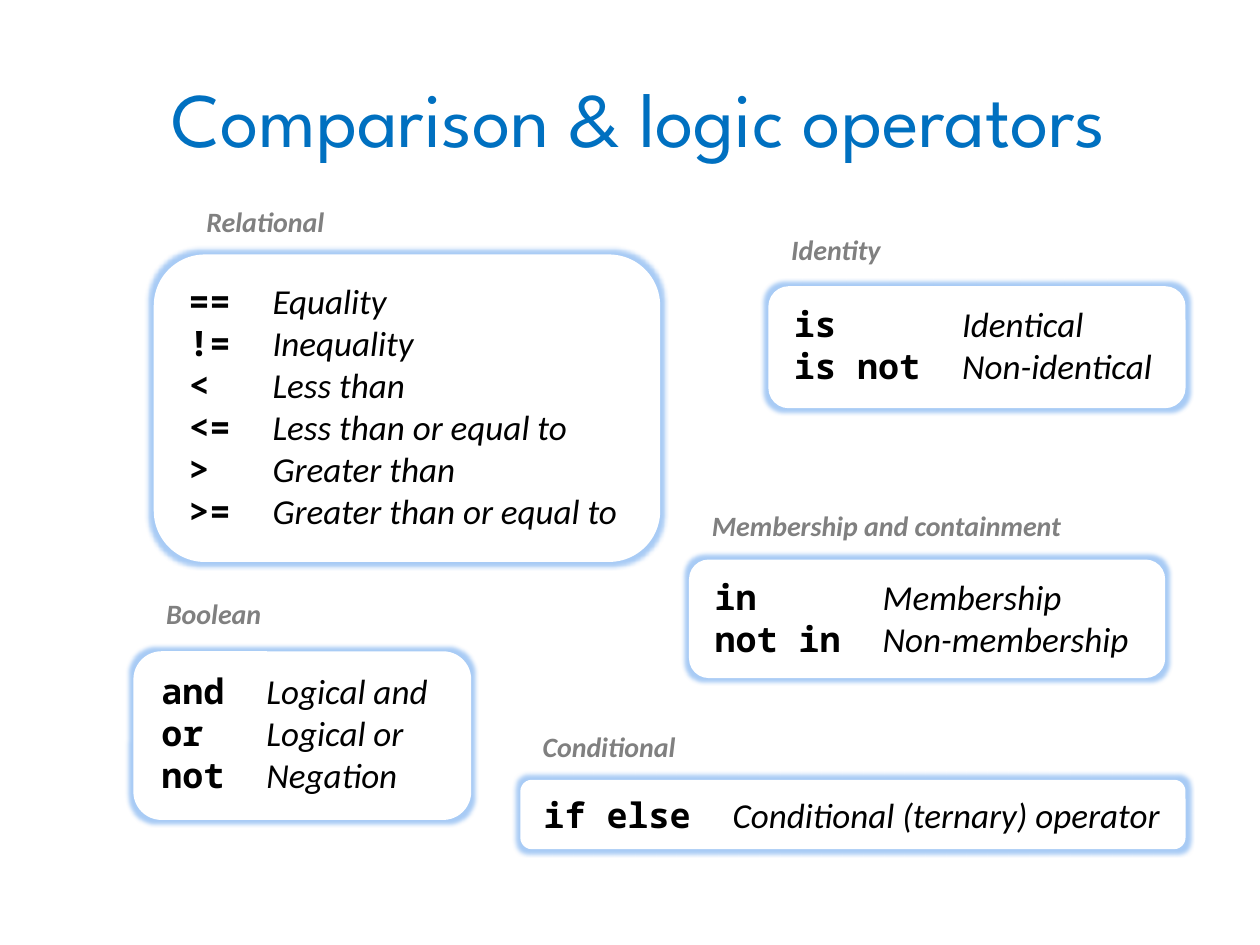
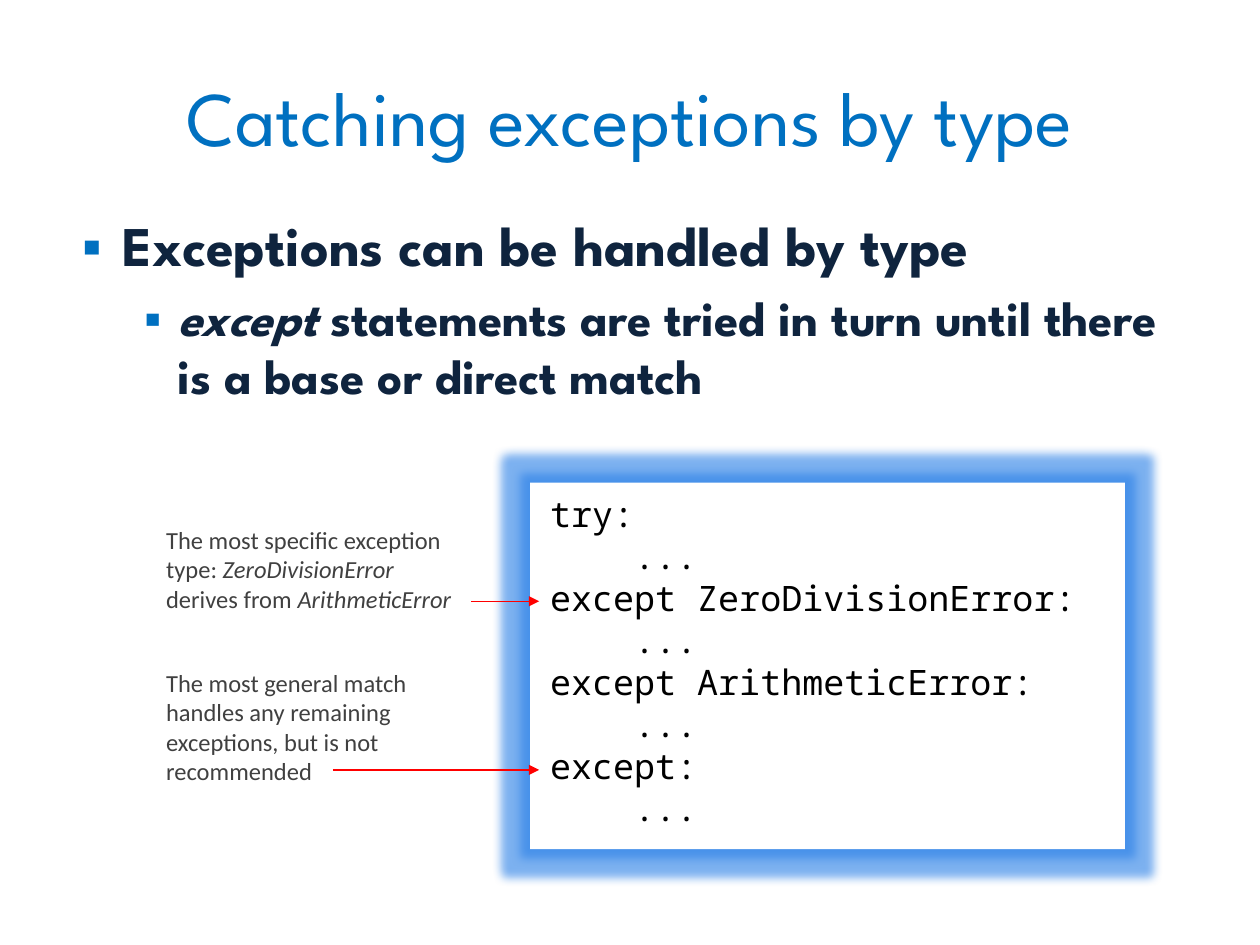
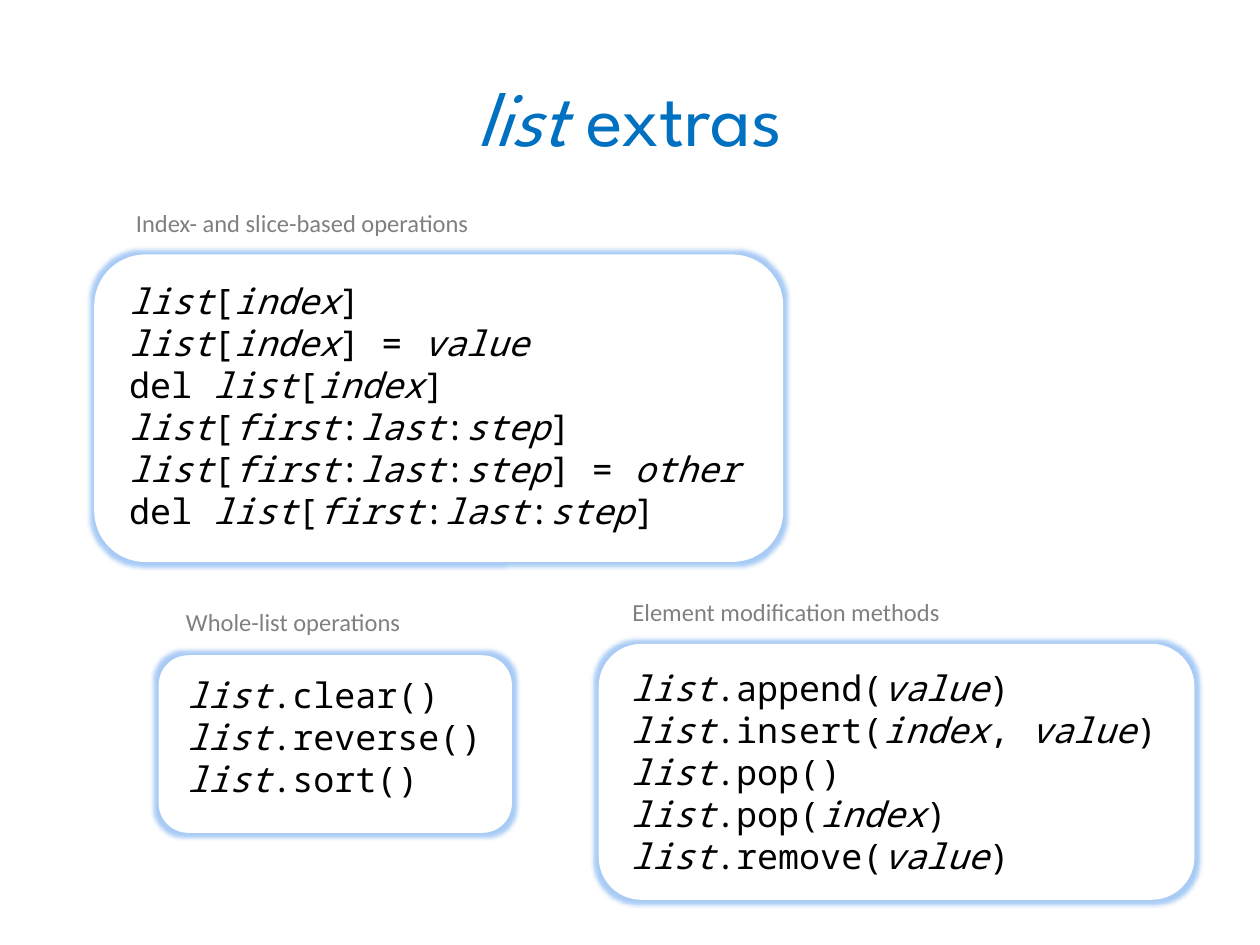
from lxml.etree import SubElement
from pptx import Presentation
from pptx.dml.color import RGBColor
from pptx.enum.shapes import MSO_CONNECTOR, MSO_SHAPE
from pptx.enum.text import MSO_ANCHOR, PP_ALIGN
from pptx.oxml.ns import qn
from pptx.util import Cm, Pt

COLORS = {
    "title": "0070C0",
    "body": "0F243E",
    "code": "000000",
    "label": "808080",
    "note": "404040",
    "panel": "FFFFFF",
    "glow": "267DE6",
    "arrow": "FF0000",
}
DISPLAY, PROSE, MONO = "League Spartan", "Calibri", "Noto Sans Mono"
CODE_SIZE = 20
CODE_LEADING = Pt(24)
CODE_CHAR_WIDTH = Pt(12)
LABEL_WIDTH = 7


def color(name):
    return RGBColor.from_string(COLORS[name])


def add_run(paragraph, text, face, size, color_name, bold=False, italic=False):
    run = paragraph.add_run()
    run.text = text
    font = run.font
    font.name, font.size = face, Pt(size)
    font.bold, font.italic = bold, italic
    font.color.rgb = color(color_name)


def add_marked_runs(paragraph, text, *style, bold=False):
    """Add runs in which the parts between asterisks are italic."""
    for number, part in enumerate(text.split("*")):
        if part:
            add_run(paragraph, part, *style, bold=bold, italic=number % 2 == 1)


def paragraphs(frame, items):
    """Yield a paragraph of the frame with each item."""
    for number, item in enumerate(items):
        yield (frame.add_paragraph() if number else frame.paragraphs[0]), item


def add_text_frame(slide, left, top, width, height):
    box = slide.shapes.add_textbox(Cm(left), Cm(top), Cm(width), Cm(height))
    box.text_frame.word_wrap = True
    return box.text_frame


def add_title(slide, text, top=0.74, width=22.86):
    frame = add_text_frame(slide, 1.27, top, width, 3.18)
    frame.vertical_anchor = MSO_ANCHOR.MIDDLE
    paragraph = frame.paragraphs[0]
    paragraph.alignment = PP_ALIGN.CENTER
    add_marked_runs(paragraph, text, DISPLAY, 44, "title")


def add_label(slide, left, top, text, width=LABEL_WIDTH, size=14, strong=False):
    frame = add_text_frame(slide, left, top, width, 0.9)
    add_run(frame.paragraphs[0], text, PROSE, size, "label", strong, strong)


def add_note(slide, left, top, height, text):
    frame = add_text_frame(slide, left, top, 6.4, height)
    add_marked_runs(frame.paragraphs[0], text, PROSE, 14, "note")


def add_panel(slide, left, top, width, height,
              outline=MSO_SHAPE.ROUNDED_RECTANGLE, glow=5, opacity=40):
    """Add a white glowing panel and return its text frame."""
    panel = slide.shapes.add_shape(
        outline, Cm(left), Cm(top), Cm(width), Cm(height))
    panel.shadow.inherit = False
    panel.fill.solid()
    panel.fill.fore_color.rgb = color("panel")
    panel.line.fill.background()
    effects = panel._element.spPr.find(qn("a:effectLst"))
    halo = SubElement(effects, qn("a:glow"), rad=str(Pt(glow)))
    tint = SubElement(halo, qn("a:srgbClr"), val=COLORS["glow"])
    SubElement(tint, qn("a:alpha"), val=str(opacity * 1000))
    frame = panel.text_frame
    frame.word_wrap = True
    frame.vertical_anchor = MSO_ANCHOR.TOP
    frame.margin_left = frame.margin_right = Cm(0.4)
    frame.margin_top = frame.margin_bottom = Cm(0.2)
    return frame


def set_code_line(paragraph):
    paragraph.alignment = PP_ALIGN.LEFT
    paragraph.line_spacing = CODE_LEADING


def add_operators(frame, operators):
    """Write operators and their meanings, aligned two characters apart."""
    column = max(len(symbol) for symbol, _ in operators) + 2
    for paragraph, (symbol, meaning) in paragraphs(frame, operators):
        tabs = SubElement(paragraph._p.get_or_add_pPr(), qn("a:tabLst"))
        SubElement(tabs, qn("a:tab"), pos=str(column * CODE_CHAR_WIDTH), algn="l")
        set_code_line(paragraph)
        add_run(paragraph, symbol + "\t", MONO, CODE_SIZE, "code", bold=True)
        add_run(paragraph, meaning, PROSE, CODE_SIZE, "code", italic=True)


def add_code(frame, lines):
    for paragraph, line in paragraphs(frame, lines):
        set_code_line(paragraph)
        add_marked_runs(paragraph, line, MONO, CODE_SIZE, "code")


def add_bullets(slide, bullets):
    frame = add_text_frame(slide, 1.27, 4.11, 22.86, 12.57)
    levels = ((32, 0.95, 0.95), (28, 2.06, 0.79))
    for paragraph, (level, text) in paragraphs(frame, bullets):
        size, margin, hanging = levels[level]
        properties = paragraph._p.get_or_add_pPr()
        properties.set("marL", str(Cm(margin)))
        properties.set("indent", str(-Cm(hanging)))
        bullet_color = SubElement(properties, qn("a:buClr"))
        SubElement(bullet_color, qn("a:srgbClr"), val=COLORS["title"])
        SubElement(properties, qn("a:buFont"), typeface=MONO)
        SubElement(properties, qn("a:buChar"), char="▪")
        paragraph.level = level
        if level:
            paragraph.space_before = Pt(size * 0.2)
        add_marked_runs(paragraph, text, DISPLAY, size, "body", bold=True)


def add_arrow(slide, start, end, height):
    arrow = slide.shapes.add_connector(
        MSO_CONNECTOR.STRAIGHT, Cm(start), Cm(height), Cm(end), Cm(height))
    arrow.line.color.rgb = color("arrow")
    arrow.line.width = Pt(0.75)
    SubElement(arrow.line._get_or_add_ln(), qn("a:tailEnd"), type="triangle")
    SubElement(arrow._element.spPr, qn("a:effectLst"))


def build_operators(slide):
    add_title(slide, "Comparison & logic operators", top=0.76, width=23.24)
    groups = (
        ("Membership and containment", (14.1, 10.13), (13.89, 11.28, 9.6, 2.39),
         (("in", "Membership"), ("not in", "Non-membership"))),
        ("Identity", (15.7, 4.57), (15.49, 5.77, 8.41, 2.46),
         (("is", "Identical"), ("is not", "Non-identical"))),
        ("Relational", (3.91, 3.99), (3.1, 5.13, 10.21, 6.2),
         (("==", "Equality"), ("!=", "Inequality"),
          ("<", "Less than"), ("<=", "Less than or equal to"),
          (">", "Greater than"), (">=", "Greater than or equal to"))),
        ("Boolean", (3.1, 11.91), (2.69, 13.13, 6.81, 3.4),
         (("and", "Logical and"), ("or", "Logical or"), ("not", "Negation"))),
        ("Conditional", (10.69, 14.58), (10.49, 15.72, 13.41, 1.4),
         (("if else", "Conditional (ternary) operator"),)),
    )
    for label, label_place, panel_place, operators in groups:
        add_operators(add_panel(slide, *panel_place), operators)
        add_label(slide, *label_place, label, width=8, size=16, strong=True)


def build_exceptions(slide):
    add_title(slide, "Catching exceptions by type")
    add_bullets(slide, (
        (0, "Exceptions can be handled by type"),
        (1, "*except* statements are tried in turn until there is a base"
            " or direct match"),
    ))
    handlers = add_panel(slide, 10.69, 9.73, 11.99, 7.39,
                         MSO_SHAPE.RECTANGLE, glow=11, opacity=60)
    clauses = ("try:", "except ZeroDivisionError:",
               "except ArithmeticError:", "except:")
    add_code(handlers, [line for clause in clauses
                        for line in (clause, "    ...")])
    add_note(slide, 3.1, 10.46, 2.06,
             "The most specific exception type: *ZeroDivisionError*"
             " derives from *ArithmeticError*")
    add_note(slide, 3.1, 13.34, 2.64,
             "The most general match handles any remaining exceptions,"
             " but is not recommended")
    for start, height in ((9.5, 12.12), (6.71, 15.52)):
        add_arrow(slide, start, 10.87, height)


def build_list_extras(slide):
    add_title(slide, "*list* extras")
    item = "*list*[*index*]"
    part = "*list*[*first*:*last*:*step*]"
    groups = (
        ("Index- and slice-based operations", (2.49, 4.06),
         (1.9, 5.13, 13.89, 6.2),
         (item, item + " = *value*", "del " + item,
          part, part + " = *other*", "del " + part)),
        ("Element modification methods", (12.5, 11.91),
         (12.07, 12.98, 12.01, 5.16),
         ("*list*.append(*value*)", "*list*.insert(*index*, *value*)",
          "*list*.pop()", "*list*.pop(*index*)", "*list*.remove(*value*)")),
        ("Whole-list operations", (3.5, 12.12), (3.2, 13.21, 7.12, 3.58),
         ("*list*.clear()", "*list*.reverse()", "*list*.sort()")),
    )
    for label, label_place, panel_place, lines in groups:
        add_code(add_panel(slide, *panel_place), lines)
        add_label(slide, *label_place, label, width=8.6)


def main():
    deck = Presentation()
    deck.slide_width, deck.slide_height = Cm(25.4), Cm(19.05)
    blank = deck.slide_layouts[6]
    for build in (build_operators, build_exceptions, build_list_extras):
        build(deck.slides.add_slide(blank))
    deck.save("out.pptx")


if __name__ == "__main__":
    main()
